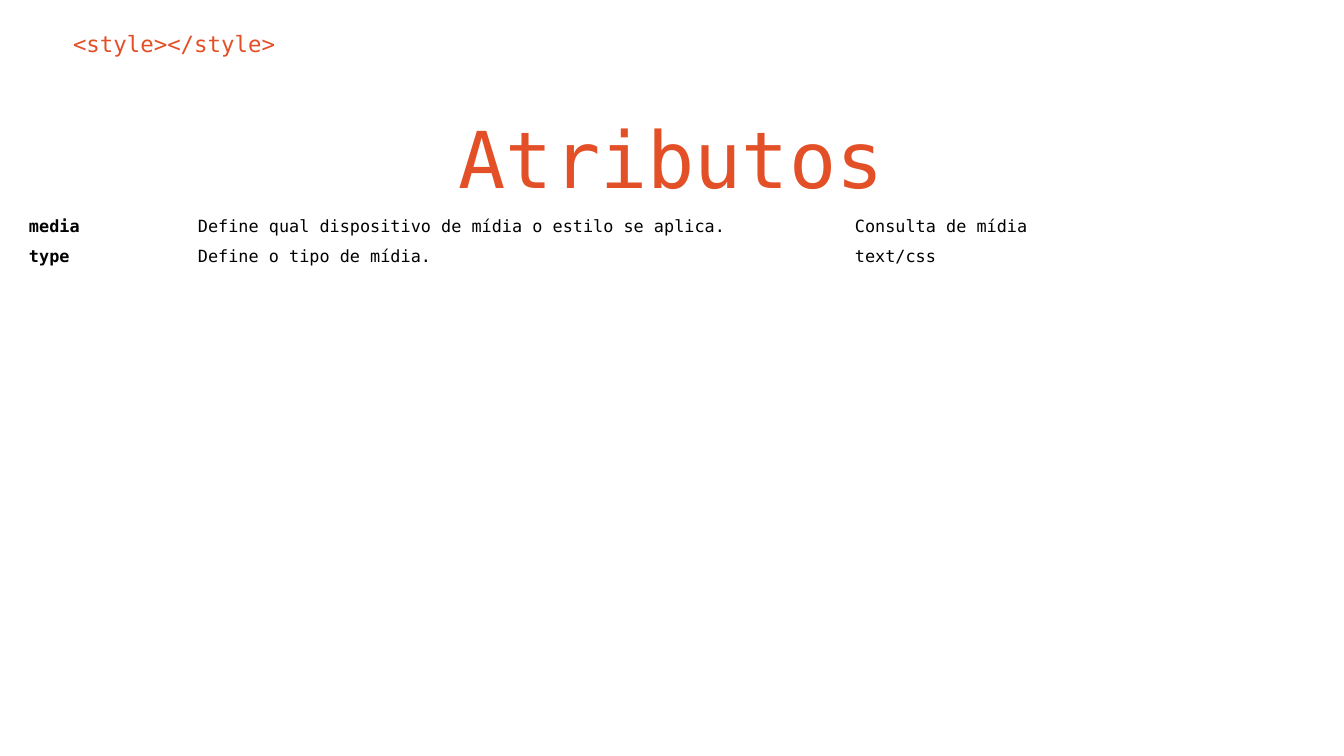
from pptx import Presentation
from pptx.dml.color import RGBColor
from pptx.enum.text import PP_ALIGN
from pptx.util import Pt

EMU_PER_PX = 6804
COLORS = {"accent": "E34F26", "text": "000000", "background": "FFFFFF"}


def px(length):
    return length * EMU_PER_PX


class SlideBuilder:
    font_name = "DejaVu Sans Mono"
    text_inset = 13
    cell_inset = 5

    def __init__(self, slide):
        self.slide = slide

    def set_font(self, paragraph, size, color, bold=False):
        font = paragraph.font
        font.name = self.font_name
        font.size = Pt(size)
        font.bold = bold
        font.color.rgb = RGBColor.from_string(COLORS[color])

    def set_margins(self, owner, inset):
        """Give a text frame or a table cell the same margin on all sides."""
        owner.margin_left = owner.margin_right = px(inset)
        owner.margin_top = owner.margin_bottom = px(inset)

    def add_text(self, text, left, top, width, height, size, align=PP_ALIGN.LEFT):
        box = self.slide.shapes.add_textbox(px(left), px(top), px(width), px(height))
        frame = box.text_frame
        frame.word_wrap = True
        self.set_margins(frame, self.text_inset)
        paragraph = frame.paragraphs[0]
        paragraph.text = text
        paragraph.alignment = align
        self.set_font(paragraph, size, "accent")

    def add_table(self, rows, left, top, column_widths, row_height, size):
        """Add a plain table whose first column is bold."""
        table = self.slide.shapes.add_table(
            len(rows), len(column_widths), px(left), px(top),
            px(sum(column_widths)), px(row_height * len(rows))).table
        table.first_row = False
        table.horz_banding = False
        for column, width in zip(table.columns, column_widths):
            column.width = px(width)
        for row, values in zip(table.rows, rows):
            row.height = px(row_height)
            for index, (cell, value) in enumerate(zip(row.cells, values)):
                cell.fill.solid()
                cell.fill.fore_color.rgb = RGBColor.from_string(COLORS["background"])
                self.set_margins(cell, self.cell_inset)
                paragraph = cell.text_frame.paragraphs[0]
                paragraph.text = value
                self.set_font(paragraph, size, "text", bold=index == 0)


def main():
    presentation = Presentation()
    presentation.slide_width = px(1344)
    presentation.slide_height = px(756)
    builder = SlideBuilder(presentation.slides.add_slide(presentation.slide_layouts[6]))

    builder.add_text("<style></style>", 60, 17, 1234, 56, size=12)
    builder.add_text("Atributos", 95, 97, 1152, 116, size=42, align=PP_ALIGN.CENTER)

    attributes = [
        ("media", "Define qual dispositivo de mídia o estilo se aplica.", "Consulta de mídia"),
        ("type", "Define o tipo de mídia.", "text/css"),
    ]
    builder.add_table(attributes, 24, 212, column_widths=(169, 657, 453),
                      row_height=27, size=9)

    presentation.save("out.pptx")


if __name__ == "__main__":
    main()
